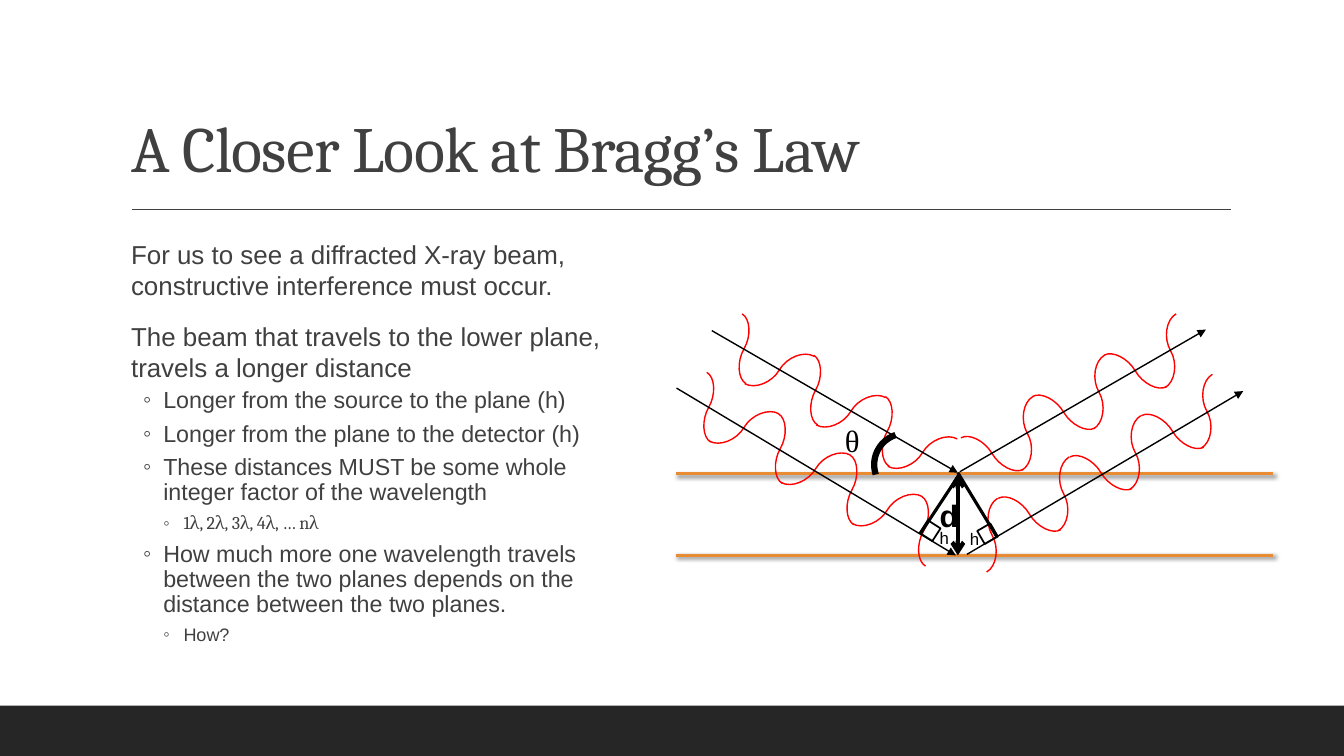
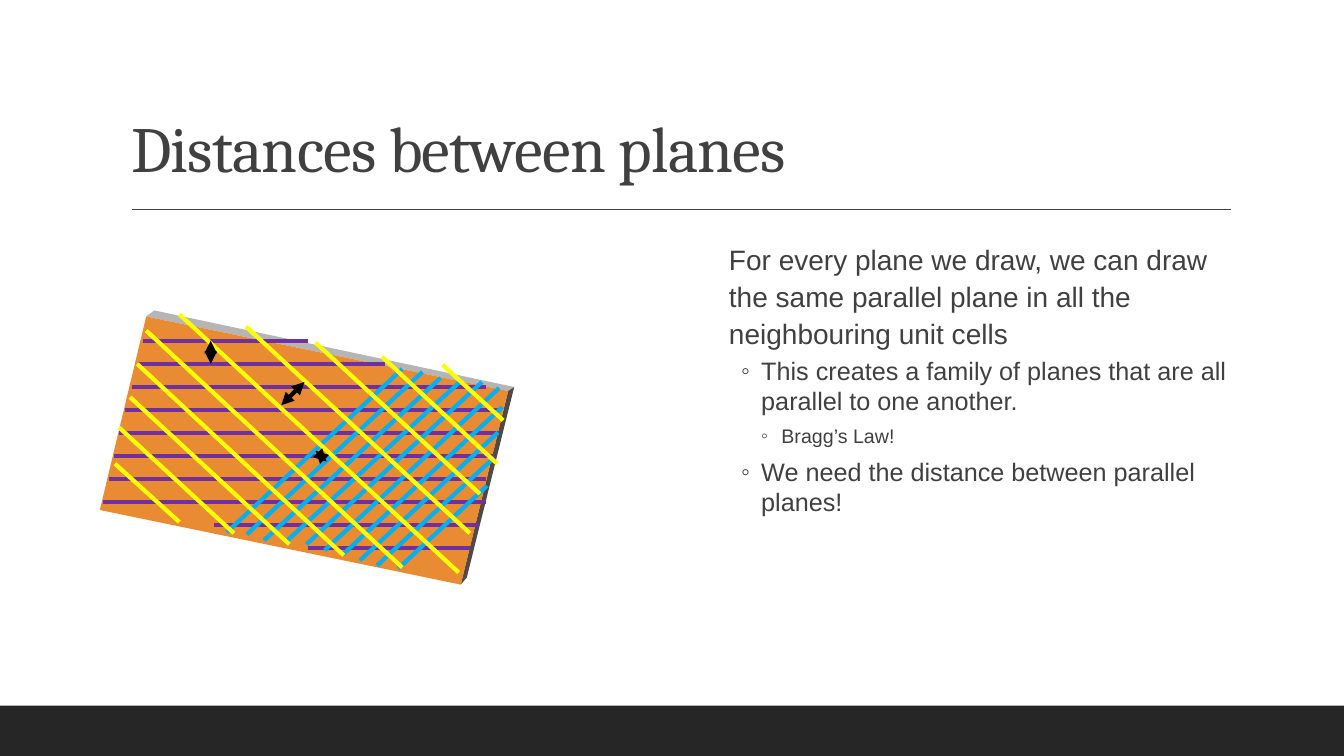
from lxml import etree
from pptx import Presentation
from pptx.dml.color import RGBColor
from pptx.enum.shapes import MSO_CONNECTOR, MSO_SHAPE
from pptx.enum.text import MSO_ANCHOR, MSO_AUTO_SIZE, PP_ALIGN
from pptx.oxml.ns import qn
from pptx.util import Inches, Pt

STRAIGHT, CURVE = MSO_CONNECTOR.STRAIGHT, MSO_CONNECTOR.CURVE
RECTANGLE, ARC = MSO_SHAPE.RECTANGLE, MSO_SHAPE.ARC
BOTTOM, LEFT = MSO_ANCHOR.BOTTOM, PP_ALIGN.LEFT
NO_AUTOFIT, GROW = MSO_AUTO_SIZE.NONE, MSO_AUTO_SIZE.SHAPE_TO_FIT_TEXT
COLORS = {
    "text": "404040",
    "band": "262626",
    "orange": "E88B33",
    "black": "000000",
    "wave": "FF0000",
    "purple": "7030A0",
    "blue": "00B0F0",
    "yellow": "FFFF00",
    "top": "B5B5B5",
    "side": "4F4A45",
}
COLORS = {name: RGBColor.from_string(value) for name, value in COLORS.items()}


def add_line(shapes, points, color, width, head=None, tail=None, kind=STRAIGHT):
    line = shapes.add_connector(kind, *[Inches(value) for value in points])
    line.line.color.rgb = COLORS[color]
    line.line.width = Pt(width)
    outline = line.line._get_or_add_ln()
    for tag, arrow in (("a:headEnd", head), ("a:tailEnd", tail)):
        if arrow:
            etree.SubElement(outline, qn(tag), type=arrow)
    etree.SubElement(line._element.spPr, qn("a:effectLst"))
    return line


def format_runs(paragraph, size, font, color):
    for run in paragraph.runs:
        run.font.size = Pt(size)
        run.font.name = font
        run.font.color.rgb = COLORS[color]


presentation = Presentation()
presentation.slide_width = Inches(13.33)
presentation.slide_height = Inches(7.5)
layout = presentation.slide_layouts[1]

contents = [
    ("A Closer Look at Bragg’s Law", 1.2, 4.55, (18.5, 16.6, 12.9), (1, 0.9, 0.9), [
        (0, "For us to see a diffracted X-ray beam, constructive interference must occur."),
        (0, "The beam that travels to the lower plane, travels a longer distance"),
        (1, "Longer from the source to the plane (h)"),
        (1, "Longer from the plane to the detector (h)"),
        (1, "These distances MUST be some whole integer factor of the wavelength"),
        (2, "1λ, 2λ, 3λ, 4λ, … nλ"),
        (1, "How much more one wavelength travels between the two planes depends on "
            "the distance between the two planes."),
        (2, "How?"),
    ]),
    ("Distances between planes", 7.13, 4.1, (20, 18, 14), (1.1, 1, 1), [
        (0, "For every plane we draw, we can draw the same parallel plane in all the "
            "neighbouring unit cells"),
        (1, "This creates a family of planes that are all parallel to one another."),
        (2, "Bragg’s Law!"),
        (1, "We need the distance between parallel planes!"),
    ]),
]
LEVELS = [(0.1, 0.1, 12, 2, " "), (0.42, 0.2, 2, 4, "◦"), (0.62, 0.2, 2, 4, "◦")]

for title_text, body_left, body_height, sizes, spacings, items in contents:
    slide = presentation.slides.add_slide(layout)
    title, body = slide.placeholders
    title.left, title.top = Inches(1.2), Inches(0.31)
    title.width, title.height = Inches(11), Inches(1.59)
    title.text_frame.text = title_text
    title.text_frame.vertical_anchor = BOTTOM
    title.text_frame.auto_size = NO_AUTOFIT
    paragraph = title.text_frame.paragraphs[0]
    paragraph.alignment = LEFT
    paragraph.line_spacing = 0.9
    format_runs(paragraph, 46, "Cambria", "text")
    paragraph.runs[0]._r.get_or_add_rPr().set("spc", "-50")

    body.left, body.top = Inches(body_left), Inches(2.32)
    body.width, body.height = Inches(5.07), Inches(body_height)
    text_frame = body.text_frame
    text_frame.text = "\n".join(text for level, text in items)
    text_frame.auto_size = NO_AUTOFIT
    text_frame.margin_left = text_frame.margin_right = 0
    for paragraph, (level, text) in zip(text_frame.paragraphs, items):
        margin, hanging, before, after, bullet = LEVELS[level]
        paragraph.level = level
        paragraph.line_spacing = spacings[level]
        paragraph.space_before = Pt(before)
        paragraph.space_after = Pt(after)
        properties = paragraph._p.get_or_add_pPr()
        properties.set("marL", str(Inches(margin)))
        properties.set("indent", str(-Inches(hanging)))
        etree.SubElement(properties, qn("a:buChar"), char=bullet)
        format_runs(paragraph, sizes[level], "Cambria" if "λ" in text else "Arial", "text")

bragg_slide, planes_slide = presentation.slides

band = bragg_slide.shapes.add_shape(RECTANGLE, 0, Inches(7), Inches(13.33), Inches(0.5))
band.fill.solid()
band.fill.fore_color.rgb = COLORS["band"]
band.line.fill.background()
band.shadow.inherit = False
rule = add_line(bragg_slide.shapes, (1.31, 2.08, 12.21, 2.08), "text", 1)
for number, shape in enumerate((band, rule)):
    shape._element.xpath(".//p:cNvPr")[0].set("id", str(20 + number))
    layout.shapes._spTree.insert(2 + number, shape._element)

diagram = bragg_slide.shapes.add_group_shape().shapes
for plane_y in (4.7, 5.51):
    plane = add_line(diagram, (6.7, plane_y, 12.63, plane_y), "orange", 2)
    effects = plane._element.spPr.find(qn("a:effectLst"))
    shadow = etree.SubElement(effects, qn("a:outerShdw"), blurRad=str(Pt(3)),
                              dist=str(Pt(2)), dir="2700000", algn="tl", rotWithShape="0")
    shadow_color = etree.SubElement(shadow, qn("a:srgbClr"), val=str(COLORS["black"]))
    etree.SubElement(shadow_color, qn("a:alpha"), val="60000")
add_line(diagram, (9.5, 4.7, 9.5, 5.51), "black", 3, "arrow", "arrow")

WAVE_STEP_X, WAVE_STEP_Y, WAVE_HEIGHT = 0.71, 0.41, 0.58
wave_rows = [
    (7.19, 3.17, 1, 0.38, 210, True, 3),
    (7.5, 3.38, 1, 0.46, 30, False, 3),
    (6.84, 3.75, 1, 0.38, 210, True, 4),
    (7.15, 3.95, 1, 0.46, 30, False, 3),
    (9.65, 4.21, -1, 0.38, 150, True, 3),
    (9.96, 4.01, -1, 0.46, 330, False, 3),
    (10.02, 4.81, -1, 0.38, 150, True, 3),
    (9.61, 5.02, -1, 0.46, 330, False, 4),
]
for left, top, direction, width, rotation, flipped, count in wave_rows:
    for index in range(count):
        x = left + index * WAVE_STEP_X
        y = top + index * direction * WAVE_STEP_Y
        start_x, end_x = (x + width, x) if flipped else (x, x + width)
        wave = add_line(diagram, (start_x, y + WAVE_HEIGHT, end_x, y), "wave", 1, kind=CURVE)
        wave._element.spPr.xfrm.set("rot", str(rotation * 60000))

rays = [
    (7.06, 3.28, 9.5, 4.69),
    (6.71, 3.85, 9.48, 5.51),
    (9.52, 4.68, 11.96, 3.27),
    (9.59, 5.5, 12.33, 3.88),
]
for ray in rays:
    add_line(diagram, ray, "black", 1, tail="triangle")
for side in ((9.52, 4.7, 9.13, 5.29), (9.5, 4.69, 9.89, 5.33)):
    add_line(diagram, side, "black", 2.25)

angle_marks = [
    (ARC, 8.67, 4.3, 0.62, 251.7, 4.5),
    (RECTANGLE, 9.15, 5.19, 0.15, 32.7, 1.25),
    (RECTANGLE, 9.72, 5.22, 0.15, 330, 1.25),
]
for kind, left, top, size, rotation, width in angle_marks:
    mark = diagram.add_shape(kind, Inches(left), Inches(top), Inches(size), Inches(size))
    mark.rotation = rotation
    mark.fill.background()
    mark.line.color.rgb = COLORS["black"]
    mark.line.width = Pt(width)
    mark.shadow.inherit = False

labels = [
    ("d", 9.22, 4.88, 0.35, 0.47, 22, "Arial"),
    ("θ", 8.28, 4.13, 0.35, 0.47, 22, "Times New Roman"),
    ("h", 9.22, 5.19, 0.28, 0.3, 12, "Arial"),
    ("h", 9.52, 5.2, 0.28, 0.3, 12, "Arial"),
]
for text, left, top, width, height, size, font in labels:
    label = diagram.add_textbox(Inches(left), Inches(top), Inches(width), Inches(height))
    label.text_frame.text = text
    label.text_frame.word_wrap = False
    label.text_frame.auto_size = GROW
    paragraph = label.text_frame.paragraphs[0]
    format_runs(paragraph, size, font, "black")
    paragraph.runs[0].font.bold = text == "d"

crystal = planes_slide.shapes.add_group_shape().shapes
faces = [
    ("top", [(1.45, 3.14), (1.53, 3.08), (5.1, 3.84), (5.04, 3.88)]),
    ("side", [(5.04, 3.88), (5.1, 3.84), (4.63, 5.73), (4.57, 5.8)]),
    ("orange", [(1.45, 3.14), (5.04, 3.88), (4.57, 5.8), (0.99, 5.06)]),
]
for color, corners in faces:
    points = [(Inches(x), Inches(y)) for x, y in corners]
    builder = crystal.build_freeform(*points[0])
    builder.add_line_segments(points[1:], close=True)
    face = builder.convert_to_shape()
    face.fill.solid()
    face.fill.fore_color.rgb = COLORS[color]
    face.line.fill.background()
    face.shadow.inherit = False

purple_spans = [
    (1.42, 3.05), (1.37, 3.82), (1.31, 4.82), (1.24, 4.95), (1.18, 4.95),
    (1.13, 4.9), (1.08, 4.82), (1.02, 4.82), (2.12, 4.75), (3.05, 4.66),
]
for index, (left, right) in enumerate(purple_spans):
    y = 3.38 + index * 2.06 / 9
    add_line(crystal, (left, y, right, y), "purple", 3)

blue_lines = [
    (2.25, 5.28, 3.99, 3.66), (2.45, 5.3, 4.19, 3.69), (2.62, 5.36, 4.37, 3.75),
    (2.83, 5.38, 4.57, 3.78), (3.04, 5.4, 4.78, 3.79), (3.22, 5.46, 4.95, 3.85),
    (3.4, 5.5, 4.98, 4.04), (3.57, 5.56, 4.94, 4.29), (3.74, 5.61, 4.9, 4.54),
    (3.95, 5.64, 4.83, 4.82),
]
yellow_lines = [
    (4.39, 3.62, 4.99, 4.17), (3.79, 3.54, 4.93, 4.6), (3.13, 3.4, 4.76, 4.9),
    (2.44, 3.24, 4.66, 5.29), (1.78, 3.12, 4.55, 5.68), (1.45, 3.28, 3.99, 5.63),
    (1.36, 3.61, 3.41, 5.51), (1.29, 3.94, 2.87, 5.4), (1.18, 4.24, 2.32, 5.29),
    (1.14, 4.6, 1.78, 5.18),
]
spacing_arrows = [(2.09, 3.38, 2.09, 3.61), (3.13, 4.47, 3.24, 4.58), (3.02, 3.79, 2.79, 4.02)]
families = [
    ("blue", blue_lines, None),
    ("yellow", yellow_lines, None),
    ("black", spacing_arrows, "triangle"),
]
for color, lines, arrow in families:
    for points in lines:
        add_line(crystal, points, color, 3, arrow, arrow)

presentation.save("out.pptx")
